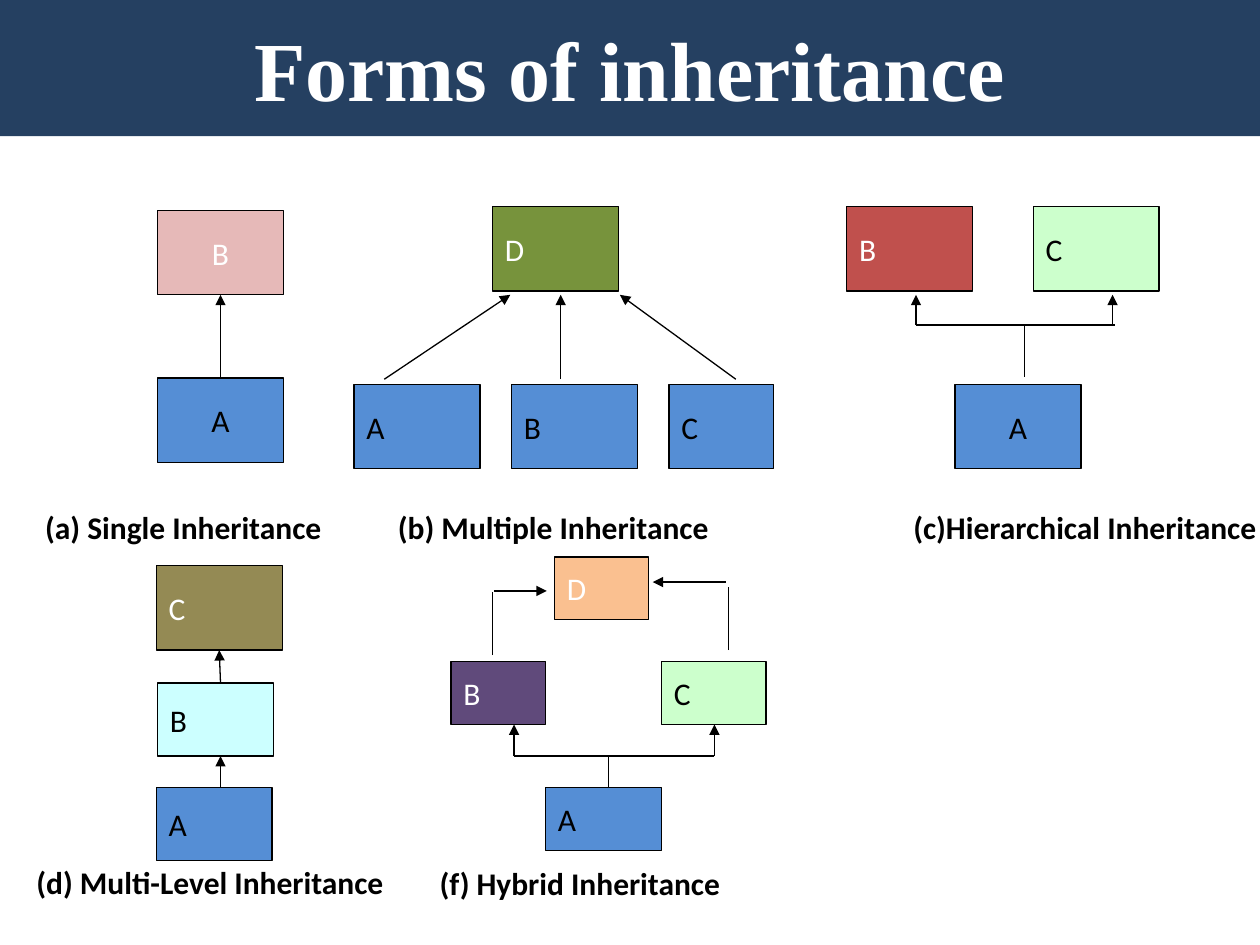
from dataclasses import dataclass

from lxml.etree import SubElement
from pptx import Presentation
from pptx.dml.color import RGBColor
from pptx.enum.shapes import MSO_CONNECTOR, MSO_SHAPE
from pptx.enum.text import MSO_ANCHOR, MSO_AUTO_SIZE, PP_ALIGN
from pptx.oxml.ns import qn
from pptx.util import Inches, Pt

CELL = 0.1  # inches; the page is a grid of 100 columns by 75 rows
COLUMNS, ROWS = 100, 75
TOP, LEFT, BOTTOM = 0, 1, 2  # connection sites of a rectangle


@dataclass(frozen=True)
class Theme:
    body_font: str = "Calibri"
    title_font: str = "Times New Roman"
    body_size: float = 18
    title_size: float = 48
    line_width: float = 0.75
    black: str = "000000"
    white: str = "FFFFFF"
    navy: str = "254061"
    blue: str = "558ED5"
    pink: str = "E6B9B8"
    red: str = "C0504D"
    olive: str = "77933C"
    khaki: str = "948A54"
    mint: str = "CCFFCC"
    aqua: str = "CCFFFF"
    purple: str = "604A7B"
    peach: str = "FAC090"


THEME = Theme()


@dataclass(frozen=True)
class Box:
    left: float
    top: float
    width: float
    height: float

    def point(self, x, y):
        return cells(self.left + x), cells(self.top + y)


def cells(count):
    return Inches(count * CELL)


def apply_format(target, values):
    for name, value in values.items():
        setattr(target, name, value)


def write(frame, text, color, size=THEME.body_size, font=THEME.body_font,
          bold=False, align=PP_ALIGN.LEFT, **frame_format):
    apply_format(frame, frame_format)
    para = frame.paragraphs[0]
    para.alignment = align
    span = para.add_run()
    span.text = text
    apply_format(span.font, {"name": font, "size": Pt(size), "bold": bold})
    span.font.color.rgb = RGBColor.from_string(color)


def paint(shape, color):
    shape.fill.solid()
    shape.fill.fore_color.rgb = RGBColor.from_string(color)


def add_class(page, box, name, x, y, fill, width=10, height=6.7,
              color=THEME.black, align=PP_ALIGN.LEFT):
    """Rectangle for one class, at a column and row of its box."""
    shape = page.shapes.add_shape(MSO_SHAPE.RECTANGLE, *box.point(x, y),
                                  cells(width), cells(height))
    shape.shadow.inherit = False
    paint(shape, fill)
    shape.line.color.rgb = RGBColor.from_string(THEME.black)
    shape.line.width = Pt(THEME.line_width)
    write(shape.text_frame, name, color, align=align, word_wrap=True,
          vertical_anchor=MSO_ANCHOR.MIDDLE)
    return shape


def add_line(page, box, start, end, arrow=True, begin=None, finish=None):
    """Line between two points; begin and finish are (shape, site) joints."""
    line = page.shapes.add_connector(MSO_CONNECTOR.STRAIGHT,
                                     *box.point(*start), *box.point(*end))
    line.line.color.rgb = RGBColor.from_string(THEME.black)
    line.line.width = Pt(THEME.line_width)
    if arrow:
        SubElement(line.line._get_or_add_ln(), qn("a:tailEnd"), type="triangle")
    SubElement(line._element.spPr, qn("a:effectLst"))
    if begin:
        line.begin_connect(*begin)
    if finish:
        line.end_connect(*finish)


def add_fork(page, box, stem_x, rows, tips, bar_end):
    """Stem that splits into two upward arrows; rows run from stem to tips."""
    stem_y, bar_y, tip_y = rows
    add_line(page, box, (stem_x, stem_y), (stem_x, bar_y), arrow=False)
    add_line(page, box, (tips[0], bar_y), (bar_end, bar_y), arrow=False)
    for tip in tips:
        add_line(page, box, (tip, bar_y), (tip, tip_y))


def add_caption(page, box, text, width, indent=0):
    """Bold label just under a diagram's box."""
    label = page.shapes.add_textbox(*box.point(indent, box.height),
                                    cells(width), cells(4))
    write(label.text_frame, text, THEME.black, bold=True, word_wrap=False)


def title_band(page, box):
    title = page.shapes.title
    apply_format(title, {"left": cells(box.left), "top": cells(box.top),
                         "width": cells(box.width), "height": cells(box.height)})
    paint(title, THEME.navy)
    write(title.text_frame, "Forms of inheritance", THEME.white,
          THEME.title_size, THEME.title_font, True, PP_ALIGN.CENTER,
          word_wrap=True, auto_size=MSO_AUTO_SIZE.NONE,
          vertical_anchor=MSO_ANCHOR.MIDDLE)


def single(page, box):
    parent = add_class(page, box, "B", 9.9, 0.3, THEME.pink,
                       color=THEME.white, align=PP_ALIGN.CENTER)
    child = add_class(page, box, "A", 9.9, 13.6, THEME.blue,
                      align=PP_ALIGN.CENTER)
    add_line(page, box, (14.9, 13.6), (14.9, 7),
             begin=(child, TOP), finish=(parent, BOTTOM))
    add_caption(page, box, "(a) Single Inheritance", 24.1)


def multiple(page, box):
    add_class(page, box, "D", 11, 0, THEME.olive, color=THEME.white)
    for column, (name, width) in enumerate((("A", 10), ("B", 10), ("C", 8.3))):
        add_class(page, box, name, column * 12.5, 14.1, THEME.blue, width)
    for start, tip in ((2.4, 12.4), (16.4, 16.4), (30.3, 21.1)):
        add_line(page, box, (start, 13.7), (tip, 7))
    add_caption(page, box, "(b) Multiple Inheritance", 26.9, indent=2.5)


def hierarchical(page, box):
    add_class(page, box, "B", 0, 0, THEME.red, color=THEME.white)
    add_class(page, box, "C", 14.8, 0, THEME.mint)
    add_class(page, box, "A", 8.6, 14.1, THEME.blue, align=PP_ALIGN.CENTER)
    add_fork(page, box, 14.1, (13.5, 9.4, 7), (5.5, 21.1), 21.3)
    add_caption(page, box, "(c)Hierarchical Inheritance", 29.4, indent=4.3)


def multi_level(page, box):
    top = add_class(page, box, "C", 0, 0, THEME.khaki, color=THEME.white)
    add_class(page, box, "B", 0.1, 9.3, THEME.aqua, 9.2, 5.8)
    add_class(page, box, "A", 0, 17.6, THEME.blue, 9.2, 5.8)
    add_line(page, box, (5.1, 9.3), (5, 6.7), finish=(top, BOTTOM))
    add_line(page, box, (5.1, 17.6), (5.1, 15.1))
    add_caption(page, box, "(d) Multi-Level Inheritance", 29.8, indent=-10.5)


def hybrid(page, box):
    add_class(page, box, "D", 10.1, 0, THEME.peach, 7.5, 5, THEME.white)
    add_class(page, box, "B", 1.9, 8.3, THEME.purple, 7.5, 5, THEME.white)
    add_class(page, box, "C", 18.6, 8.3, THEME.mint, 8.3, 5)
    add_class(page, box, "A", 9.4, 18.3, THEME.blue, 9.2, 5)
    add_fork(page, box, 14.4, (18.3, 15.8, 13.3), (6.9, 22.8), 22.8)
    # Bent routes from B and C up to D
    add_line(page, box, (5.2, 7.8), (5.2, 2.8), arrow=False)
    add_line(page, box, (5.3, 2.7), (9.5, 2.7))
    add_line(page, box, (23.9, 7.4), (23.9, 2.4), arrow=False)
    add_line(page, box, (23.7, 2), (17.9, 2))
    add_caption(page, box, "(f) Hybrid Inheritance", 24.5)


def main():
    deck = Presentation()
    deck.slide_width, deck.slide_height = cells(COLUMNS), cells(ROWS)
    page = deck.slides.add_slide(deck.slide_layouts[5])
    title_band(page, Box(0, 0, COLUMNS, 10.8))
    # Upper row
    single(page, Box(2.6, 16.4, 24.1, 23.4))
    multiple(page, Box(28.1, 16.4, 33.3, 23.4))
    hierarchical(page, Box(67.2, 16.4, 24.8, 23.4))
    # Lower row
    multi_level(page, Box(12.4, 44.9, 10, 23.1))
    hybrid(page, Box(33.9, 44.2, 26.9, 23.9))
    deck.save("out.pptx")


if __name__ == "__main__":
    main()
